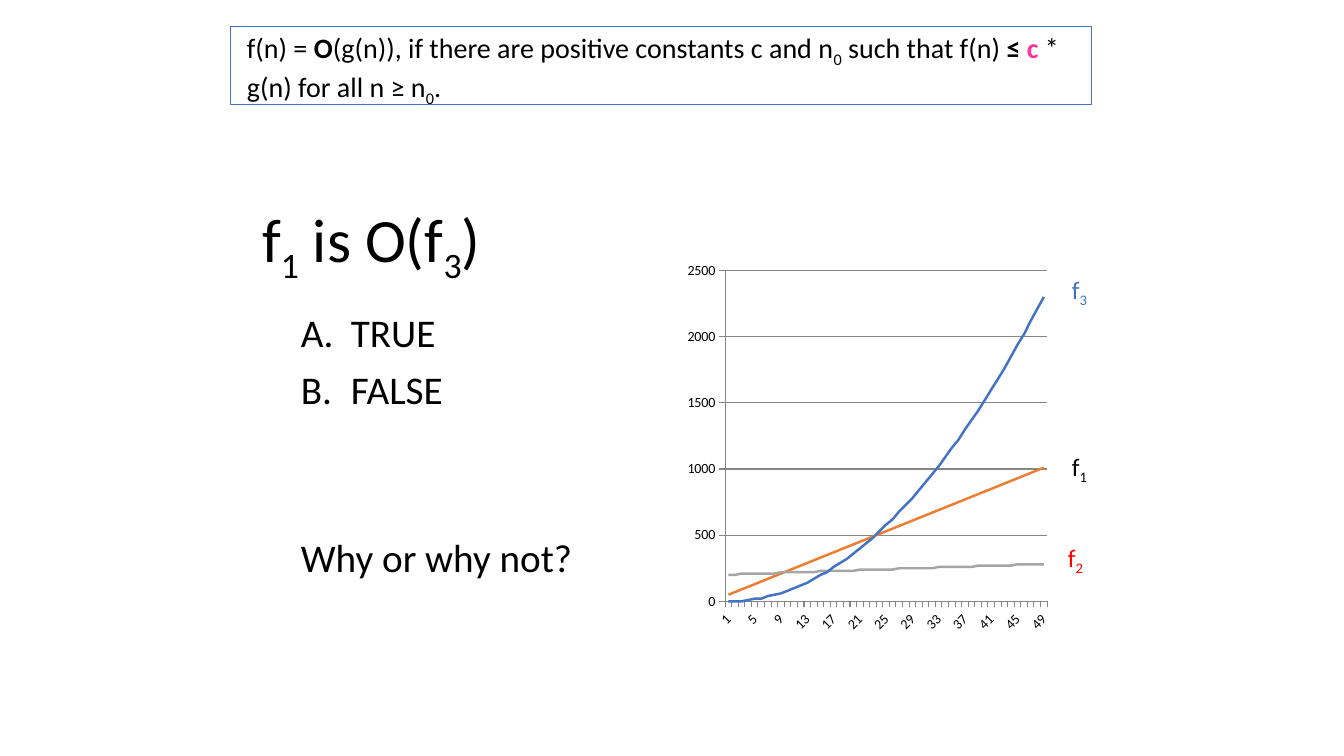
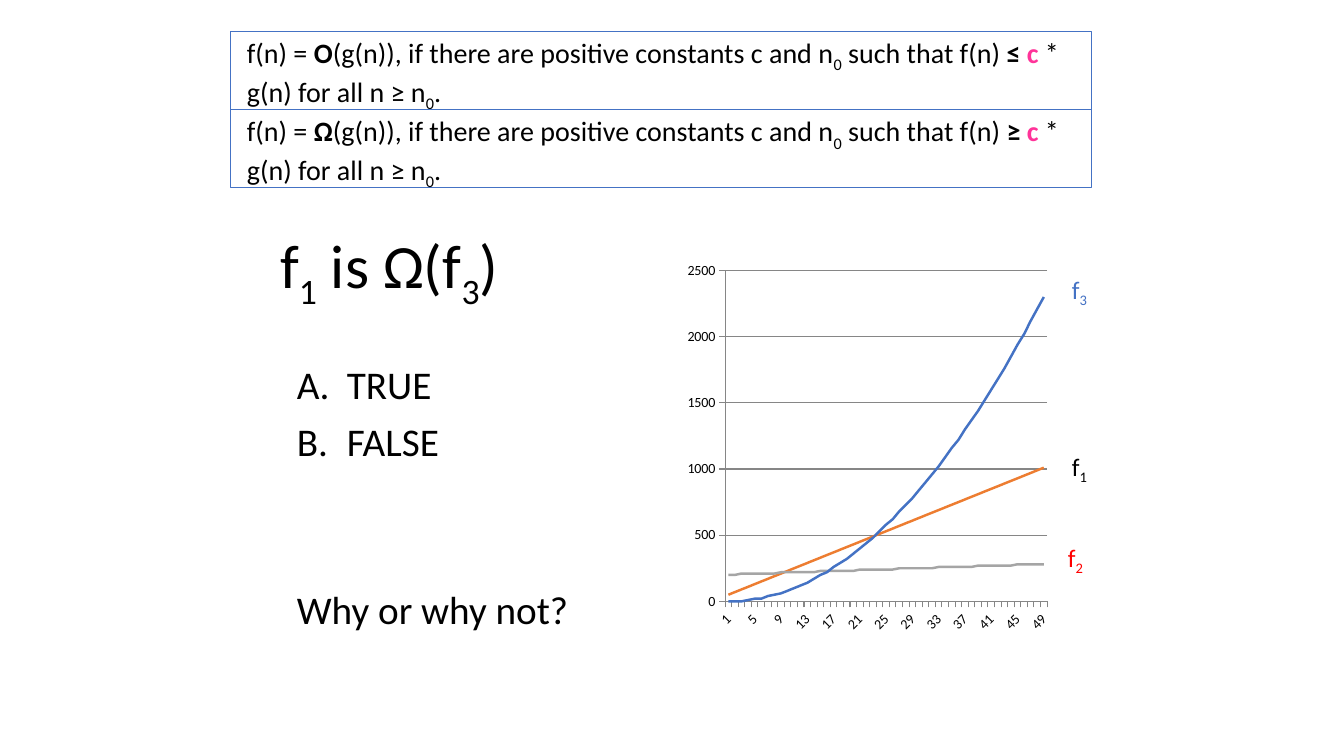
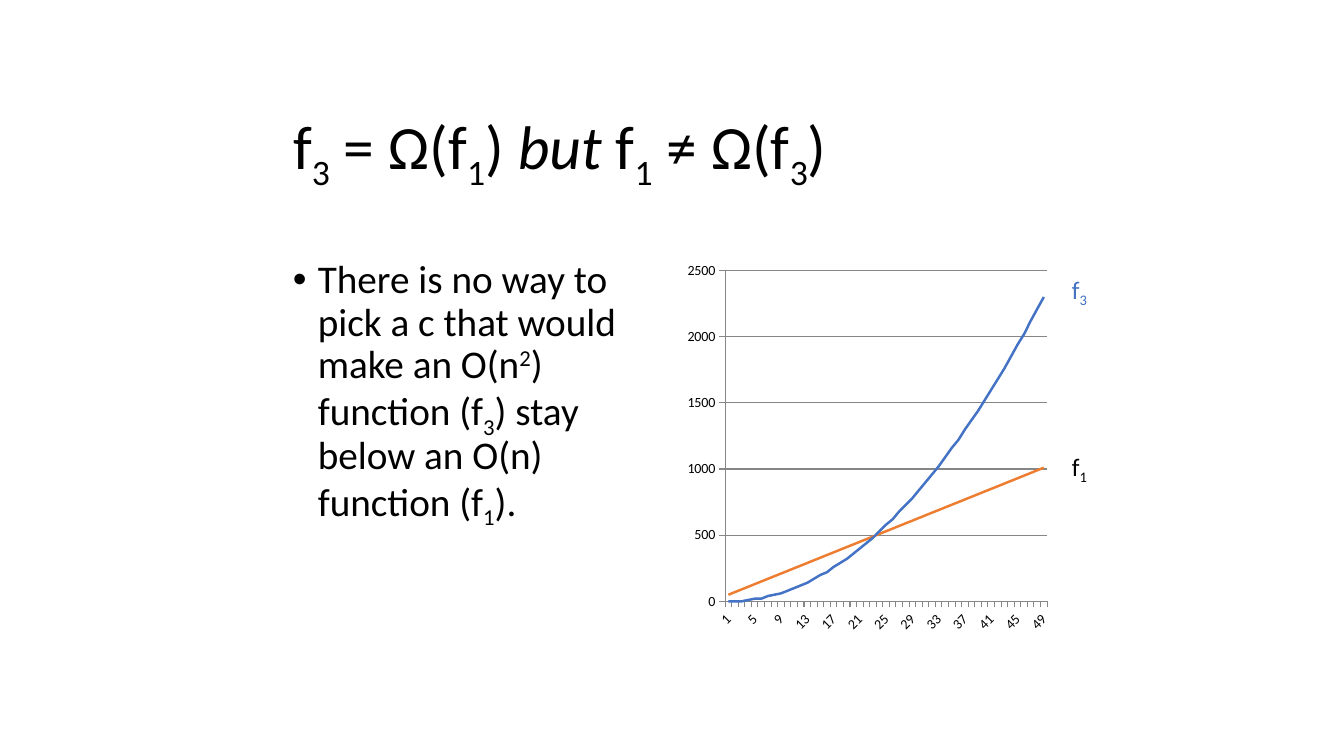
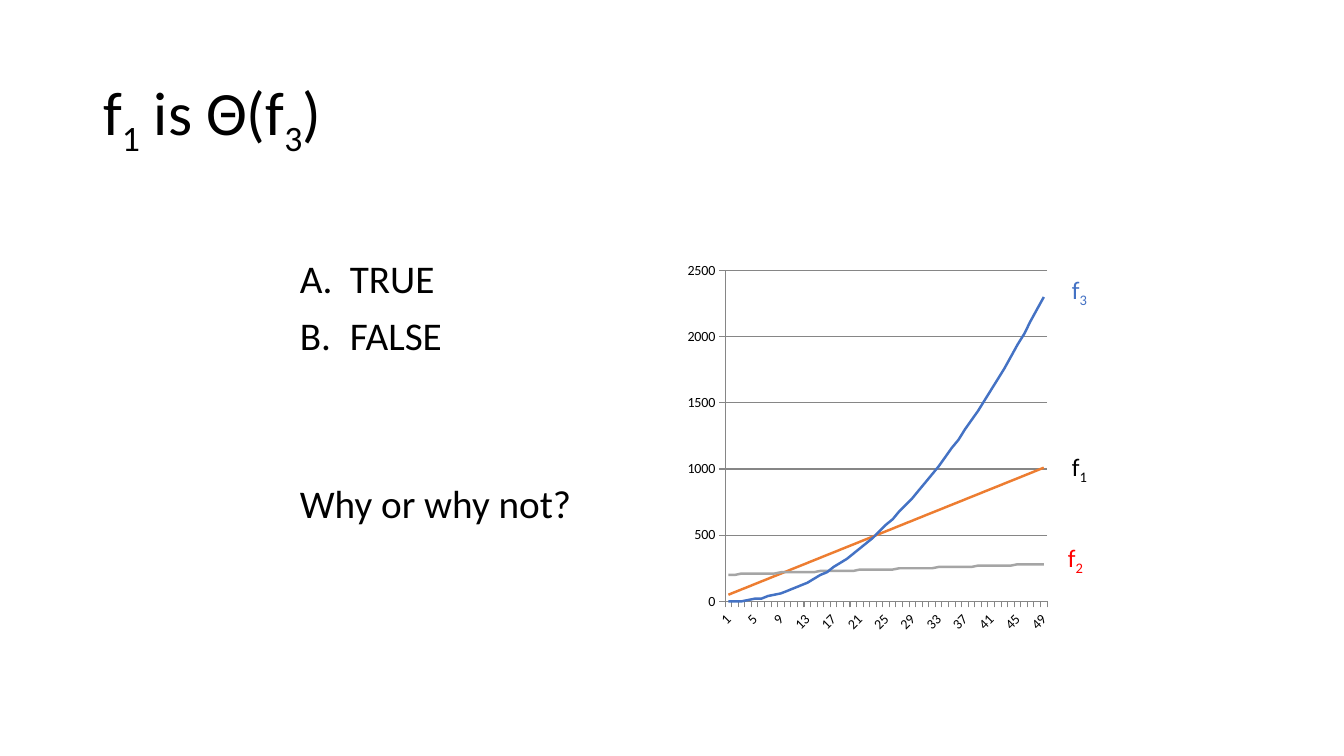
from lxml.etree import SubElement
from pptx import Presentation
from pptx.chart.data import CategoryChartData
from pptx.dml.color import RGBColor
from pptx.enum.chart import XL_CHART_TYPE, XL_TICK_MARK
from pptx.enum.shapes import MSO_SHAPE
from pptx.enum.text import MSO_ANCHOR, MSO_AUTO_SIZE, PP_ALIGN
from pptx.oxml.ns import qn
from pptx.util import Emu, Pt

# Shared style
FONT = "Calibri"
BLACK, WHITE, RED, PINK = "000000", "FFFFFF", "FF0000", "FF3399"
BLUE, ORANGE, SILVER, GRID = "4472C4", "ED7D31", "A5A5A5", "868686"
PIXELS_PER_INCH = 100.8

# The three functions on the chart, rounded to tens
STEPS = range(1, 50)
F1 = ("f1", [20 * n + 30 for n in STEPS], ORANGE)
F2 = ("f2", [200 + 10 * ((n + 3) // 6) for n in STEPS], SILVER)
F3 = ("f3", [round((n - 1) ** 2, -1) for n in STEPS], BLUE)


def px(length):
    return Emu(round(length * 914400 / PIXELS_PER_INCH))


def rgb(value):
    return RGBColor.from_string(value)


def write(paragraph, text, size=20, color=BLACK, bold=False, italic=False, raised=0):
    """Add text; the character after each underscore becomes a subscript."""
    first, *others = text.split("_")
    pieces = [(first, raised)]
    for other in others:
        pieces += [(other[0], -25), (other[1:], raised)]
    for piece, baseline in pieces:
        if not piece:
            continue
        run = paragraph.add_run()
        run.text = piece
        font = run.font
        font.name, font.size, font.bold, font.italic = FONT, Pt(size), bold, italic
        font.color.rgb = rgb(color)
        if baseline:
            run._r.get_or_add_rPr().set("baseline", str(baseline * 1000))


def indent(paragraph, left, hanging=0):
    properties = paragraph._p.get_or_add_pPr()
    properties.set("marL", str(px(left)))
    properties.set("indent", str(-px(hanging)))
    return properties


class Deck:
    def __init__(self):
        self.presentation = Presentation()
        self.presentation.slide_width = px(1344)
        self.presentation.slide_height = px(756)
        self.slide = None

    def add_slide(self):
        layout = self.presentation.slide_layouts[5]
        self.slide = self.presentation.slides.add_slide(layout)

    def title(self, left, top, width, height, *parts):
        """Parts alternate between upright and italic."""
        title = self.slide.shapes.title
        title.left, title.top = px(left), px(top)
        title.width, title.height = px(width), px(height)
        frame = title.text_frame
        frame.auto_size = MSO_AUTO_SIZE.NONE
        frame.vertical_anchor = MSO_ANCHOR.MIDDLE
        paragraph = frame.paragraphs[0]
        paragraph.alignment = PP_ALIGN.LEFT
        paragraph.line_spacing = 0.9
        for index, part in enumerate(parts):
            write(paragraph, part, size=44, italic=index % 2 == 1)

    def text_box(self, left, top, width, height, wrap=True):
        box = self.slide.shapes.add_textbox(px(left), px(top), px(width), px(height))
        box.text_frame.word_wrap = wrap
        return box.text_frame

    def body(self, left, top, count):
        """Return the paragraphs of the text column beside the chart."""
        frame = self.text_box(left, top, 377, 385)
        paragraphs = [frame.paragraphs[0]]
        paragraphs += [frame.add_paragraph() for _ in range(count - 1)]
        for paragraph in paragraphs:
            paragraph.line_spacing = 0.9
            paragraph.space_before = Pt(10)
        return paragraphs

    def question(self, left, top):
        *answers, prompt = self.body(left, top, 3)
        for paragraph, answer in zip(answers, ("TRUE", "FALSE")):
            properties = indent(paragraph, 57, 50)
            SubElement(properties, qn("a:buAutoNum"), type="alphaUcPeriod")
            write(paragraph, answer, size=28)
        indent(prompt, 7)
        prompt.space_before = Pt(90)
        write(prompt, "Why or why not?", size=28)

    def explanation(self, left, top):
        paragraph, = self.body(left, top, 1)
        properties = indent(paragraph, 25, 25)
        SubElement(properties, qn("a:buFont"), typeface="Arial")
        SubElement(properties, qn("a:buChar"), char="•")
        write(paragraph, "There is no way to pick a c that would make an O(n", size=28)
        write(paragraph, "2", size=28, raised=30)
        write(paragraph, ") function (f_3) stay below an O(n) function (f_1).", size=28)

    def definition(self, top, symbol, relation, fill=None):
        box = self.slide.shapes.add_shape(
            MSO_SHAPE.RECTANGLE, px(230), px(top), px(861), px(78))
        box.shadow.inherit = False
        if fill:
            box.fill.solid()
            box.fill.fore_color.rgb = rgb(fill)
        else:
            box.fill.background()
        box.line.color.rgb = rgb(BLUE)
        box.line.width = Pt(0.5)
        frame = box.text_frame
        frame.word_wrap = True
        frame.vertical_anchor = MSO_ANCHOR.TOP
        paragraph = frame.paragraphs[0]
        paragraph.alignment = PP_ALIGN.LEFT
        indent(paragraph, 7)
        write(paragraph, "f(n) = ")
        write(paragraph, symbol, bold=True)
        write(paragraph, "(g(n)), if there are positive constants c and n_0 such that f(n) ")
        write(paragraph, relation + " ", bold=True)
        write(paragraph, "c", color=PINK, bold=True)
        write(paragraph, " * g(n) for all n ≥ n_0.")

    def growth_chart(self, *functions):
        data = CategoryChartData()
        data.categories = [str(n) for n in STEPS]
        for name, values, _ in functions:
            data.add_series(name, values)
        chart = self.slide.shapes.add_chart(
            XL_CHART_TYPE.LINE, px(680), px(255), px(377), px(385), data).chart
        chart.has_legend = chart.has_title = False
        chart.font.name, chart.font.size = FONT, Pt(10)
        chart.font.color.rgb = rgb(BLACK)
        chart.plots[0].vary_by_categories = False
        for series, (_, _, color) in zip(chart.plots[0].series, functions):
            series.smooth = False
            series.format.line.color.rgb = rgb(color)
            series.format.line.width = Pt(1.75)
        chart.value_axis.has_major_gridlines = True
        gridlines = chart.value_axis.major_gridlines
        for part in (chart.category_axis, chart.value_axis, gridlines):
            part.format.line.color.rgb = rgb(GRID)
            part.format.line.width = Pt(0.75)
        for axis in (chart.category_axis, chart.value_axis):
            axis.major_tick_mark = XL_TICK_MARK.OUTSIDE
            axis.minor_tick_mark = XL_TICK_MARK.NONE

    def curve_label(self, left, top, text, color):
        frame = self.text_box(left, top, 37, 40, wrap=False)
        frame.auto_size = MSO_AUTO_SIZE.SHAPE_TO_FIT_TEXT
        write(frame.paragraphs[0], text, size=18, color=color)

    def growth(self, with_f2=True):
        """Add the chart with a label beside each curve."""
        self.growth_chart(*((F1, F2, F3) if with_f2 else (F1, F3)))
        self.curve_label(1062, 446, "f_1", BLACK)
        if with_f2:
            self.curve_label(1058, 537, "f_2", RED)
        self.curve_label(1062, 269, "f_3", BLUE)


deck = Deck()

# Slide 1: big O
deck.add_slide()
deck.title(252, 177, 774, 126, "f_1 is O(f_3)")
deck.question(284, 309)
deck.growth()
deck.definition(26, "O", "≤", fill=WHITE)

# Slide 2: big Omega
deck.add_slide()
deck.title(270, 203, 774, 126, "f_1 is Ω(f_3)")
deck.question(280, 361)
deck.growth()
deck.definition(31, "O", "≤", fill=WHITE)
deck.definition(109, "Ω", "≥")

# Slide 3: why Omega holds one way only
deck.add_slide()
deck.title(283, 84, 774, 126, "f_3 = Ω(f_1) ", "but ", "f_1 ≠ Ω(f_3)")
deck.explanation(283, 255)
deck.growth(with_f2=False)

# Slide 4: big Theta
deck.add_slide()
deck.title(93, 40, 1159, 146, "f_1 is Θ(f_3)")
deck.question(283, 255)
deck.growth()

deck.presentation.save("out.pptx")
